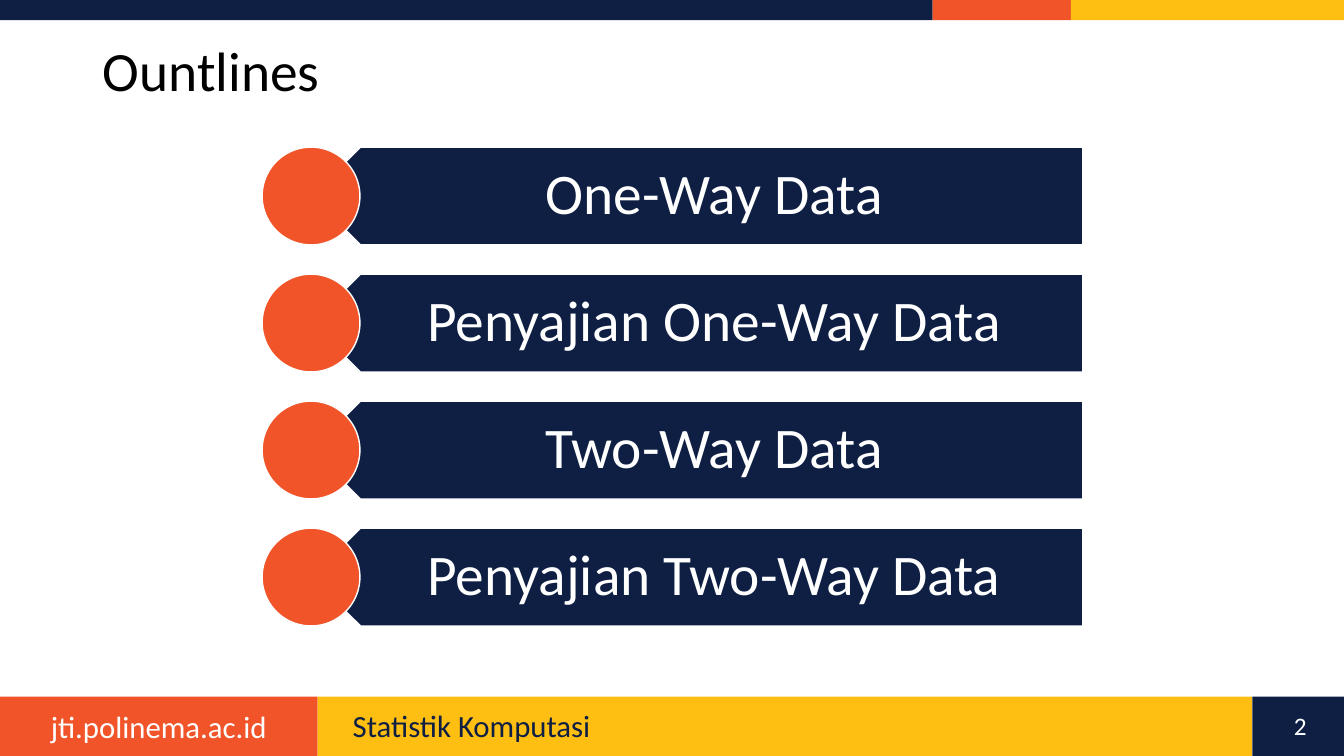
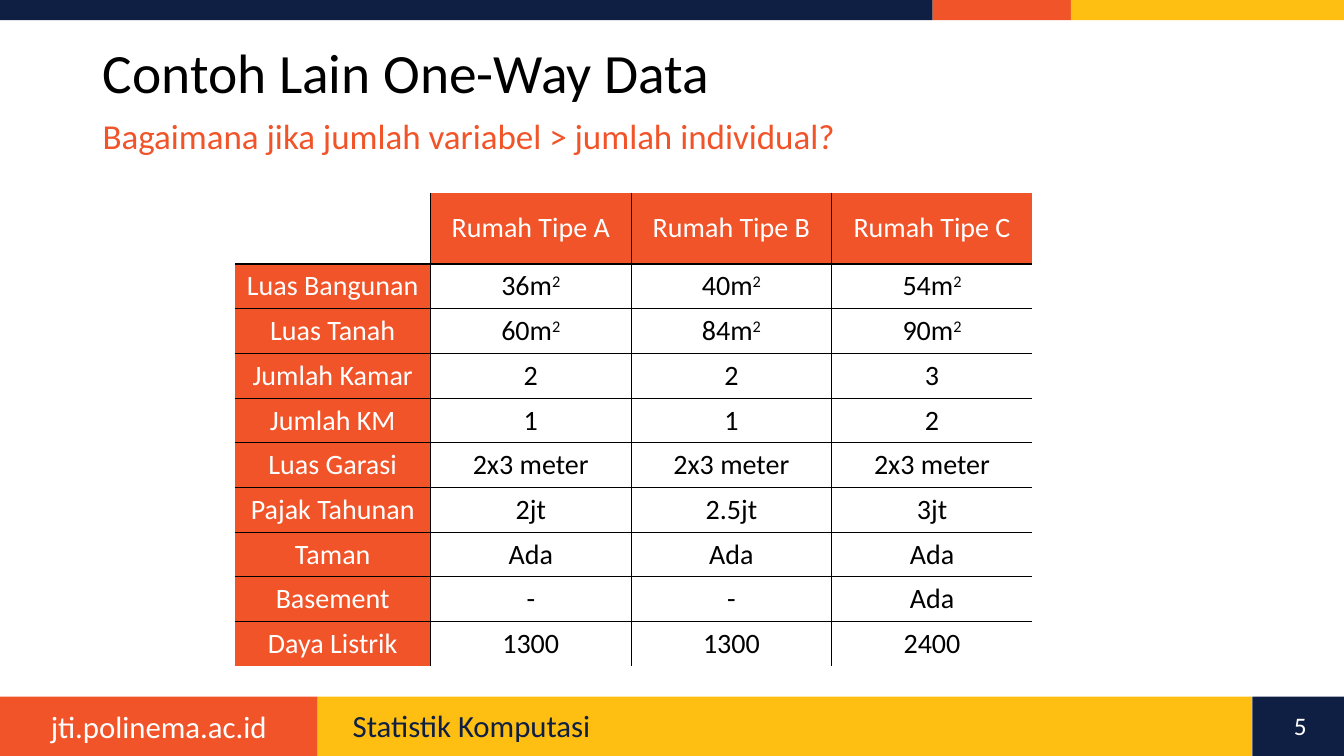
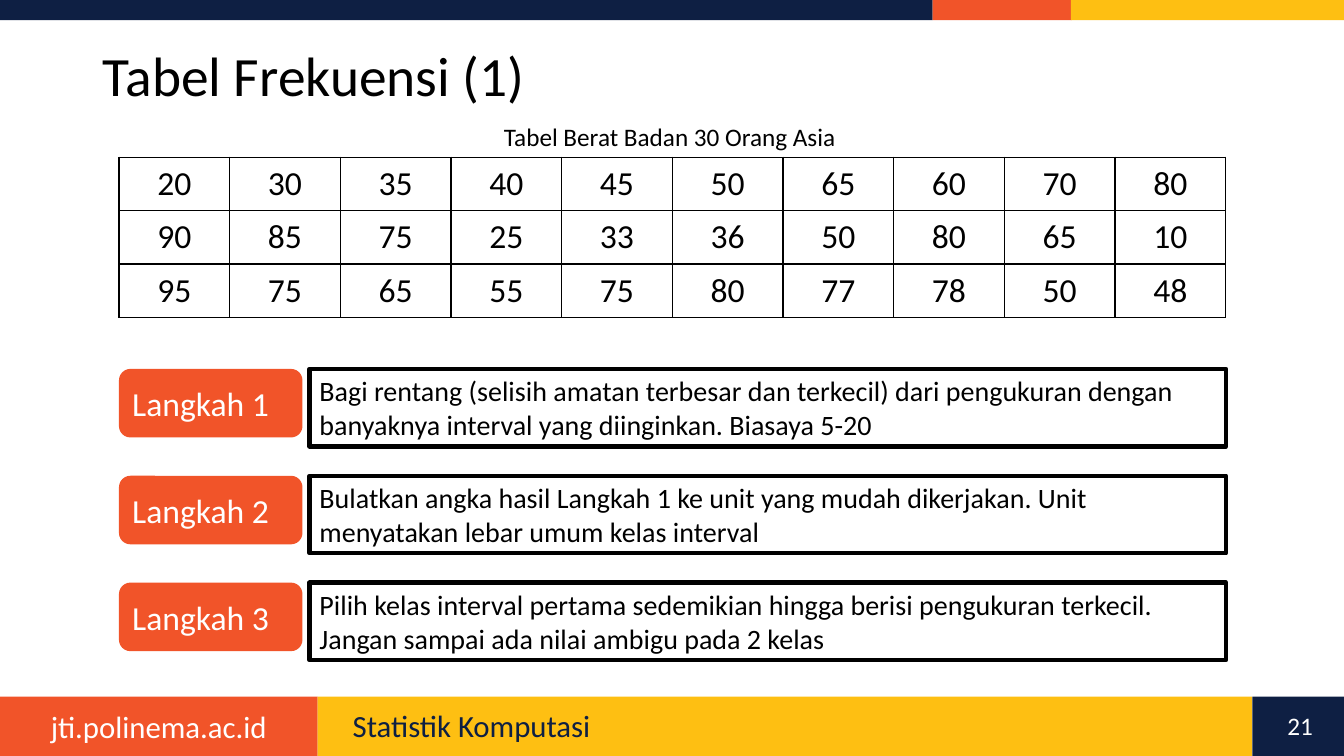
"""Build three slides of a statistics lecture with shared bands, titles and tables."""
import dataclasses

import pptx
import pptx.dml.color
import pptx.enum.shapes
import pptx.enum.text
import pptx.oxml
import pptx.oxml.ns
import pptx.util

Inches = pptx.util.Inches
Pt = pptx.util.Pt
Shape = pptx.enum.shapes.MSO_SHAPE
Align = pptx.enum.text.PP_ALIGN
Anchor = pptx.enum.text.MSO_ANCHOR
AutoSize = pptx.enum.text.MSO_AUTO_SIZE
qn = pptx.oxml.ns.qn


@dataclasses.dataclass(frozen=True)
class Theme:
    navy: str = "0E1F43"
    orange: str = "F15429"
    yellow: str = "FEBF12"
    white: str = "FFFFFF"
    black: str = "000000"
    font: str = "Calibri"
    title: float = 39.6
    outline: float = 41
    subtitle: float = 25
    label: float = 24
    footer: float = 22
    body: float = 20
    small: float = 18


class Lecture:
    def __init__(self, theme):
        self.theme = theme
        self.deck = pptx.Presentation()
        self.deck.slide_width = Inches(13.33)
        self.deck.slide_height = Inches(7.5)
        self.page = None

    def start_page(self, title, number, title_height):
        theme = self.theme
        self.page = self.deck.slides.add_slide(self.deck.slide_layouts[5])
        bands = (
            (0, 0, 9.25, 0.2, theme.navy),
            (9.25, 0, 1.38, 0.2, theme.orange),
            (10.62, 0, 2.71, 0.2, theme.yellow),
            (0, 6.91, 3.15, 0.59, theme.orange),
            (3.15, 6.91, 9.27, 0.59, theme.yellow),
            (12.42, 6.91, 0.91, 0.59, theme.navy),
        )
        for *place, color in bands:
            self.shape(Shape.RECTANGLE, place, fill=color)
        self.text("jti.polinema.ac.id", (0, 6.97, 3.15, 0.47), theme.footer,
                  theme.white, alignment=Align.CENTER)
        self.text("Statistik Komputasi", (3.4, 7, 8.74, 0.4), theme.footer,
                  theme.navy, line_spacing=0.9)
        self.text(str(number), (12.59, 7, 0.61, 0.4), theme.small,
                  theme.white, alignment=Align.CENTER)
        box = self.page.shapes.title
        places = zip(("left", "top", "width", "height"), (0.92, 0.4, 10.24, title_height))
        for name, value in places:
            setattr(box, name, Inches(value))
        self.frame(box.text_frame, vertical_anchor=Anchor.MIDDLE)
        self.fill_text(box.text_frame, title, theme.title, theme.black, line_spacing=0.9)

    def frame(self, frame, **formats):
        for name, value in {"auto_size": AutoSize.NONE, "word_wrap": True, **formats}.items():
            setattr(frame, name, value)

    def fill_text(self, frame, words, size, color, **formats):
        para = frame.paragraphs[0]
        for name, value in {"alignment": Align.LEFT, **formats}.items():
            setattr(para, name, value)
        for position, piece in enumerate(words.split("^")):
            span = para.add_run()
            span.text = piece
            for name, value in {"size": Pt(size), "name": self.theme.font}.items():
                setattr(span.font, name, value)
            span.font.color.rgb = pptx.dml.color.RGBColor.from_string(color)
            if position:
                span.font._element.set("baseline", "30000")

    def text(self, words, place, size, color, frame=None, **formats):
        box = self.page.shapes.add_textbox(*map(Inches, place))
        self.frame(box.text_frame, **(frame or {}))
        self.fill_text(box.text_frame, words, size, color, **formats)

    def shape(self, kind, place, fill=None, line=None, weight=1, rotation=0):
        shape = self.page.shapes.add_shape(kind, *map(Inches, place))
        shape.shadow.inherit = False
        shape.rotation = rotation
        for paint, color in ((shape.fill, fill), (shape.line.fill, line)):
            self.paint(paint, color)
        if line:
            shape.line.width = Pt(weight)
        return shape

    def paint(self, fill, color):
        if color:
            fill.solid()
            fill.fore_color.rgb = pptx.dml.color.RGBColor.from_string(color)
        else:
            fill.background()

    def outline_row(self, words, top):
        theme = self.theme
        size = 0.97
        self.shape(Shape.PENTAGON, (3.09, top, 7.65, size), theme.navy, theme.white,
                   rotation=180)
        insets = {"margin_left": Inches(0.43), "margin_right": Inches(0.32),
                  "margin_top": Inches(0.17), "margin_bottom": Inches(0.17),
                  "vertical_anchor": Anchor.MIDDLE}
        self.text(words, (3.33, top, 7.4, size), theme.outline, theme.white, insets,
                  alignment=Align.CENTER, line_spacing=0.9)
        self.shape(Shape.OVAL, (2.6, top, size, size), theme.orange, theme.white)

    def step(self, label, words, top):
        theme = self.theme
        badge = self.shape(Shape.ROUNDED_RECTANGLE, (1.18, top, 1.82, 0.68), theme.orange)
        self.frame(badge.text_frame, vertical_anchor=Anchor.MIDDLE)
        self.fill_text(badge.text_frame, label, theme.label, theme.white)
        panel = self.shape(Shape.RECTANGLE, (3.07, top, 9.09, 0.77),
                           line=theme.black, weight=3)
        self.frame(panel.text_frame, vertical_anchor=Anchor.TOP)
        self.fill_text(panel.text_frame, words, theme.body, theme.black)

    def border(self, cell, sides):
        for side in sides:
            line = pptx.oxml.parse_xml(
                f'<a:ln{side} xmlns:a="http://schemas.openxmlformats.org/drawingml/2006/main"'
                f' w="12700"><a:solidFill><a:srgbClr val="{self.theme.black}"/>'
                f'</a:solidFill></a:ln{side}>')
            cell._tc.get_or_add_tcPr().append(line)

    def table(self, rows, place, size, headed=False, first_row=None, first_column=None):
        theme = self.theme
        width, height = place[2:]
        row_count, column_count = len(rows), len(rows[0])
        grid = self.page.shapes.add_table(row_count, column_count, *map(Inches, place)).table
        grid.first_row = grid.horz_banding = False
        style = grid._tbl.tblPr.find(qn("a:tableStyleId"))
        style.text = "{2D5ABB26-0587-4C30-8999-92F81FD0307C}"
        if first_row:
            for index, row in enumerate(grid.rows):
                rest = (height - first_row) / (row_count - 1)
                row.height = Inches(rest if index else first_row)
        if first_column:
            for index, column in enumerate(grid.columns):
                rest = (width - first_column) / (column_count - 1)
                column.width = Inches(rest if index else first_column)
        for y, row in enumerate(rows):
            for x, words in enumerate(row):
                cell = grid.cell(y, x)
                inner = {"L": x > 0, "R": x < column_count - 1,
                         "T": y > 0, "B": y < row_count - 1}
                self.border(cell, [side for side, shown in inner.items()
                                   if shown or not headed])
                header = headed and bool(words) and (x == 0 or y == 0)
                self.paint(cell.fill, theme.orange if header else None)
                cell.vertical_anchor = Anchor.MIDDLE
                if words:
                    self.fill_text(cell.text_frame, words, size,
                                   theme.white if header else theme.black,
                                   alignment=Align.CENTER)


def main():
    theme = Theme()
    lecture = Lecture(theme)
    grow = {"auto_size": AutoSize.SHAPE_TO_FIT_TEXT, "word_wrap": False}

    lecture.start_page("Ountlines", 2, 0.66)
    topics = ("One-Way Data", "Penyajian One-Way Data",
              "Two-Way Data", "Penyajian Two-Way Data")
    for index, topic in enumerate(topics):
        lecture.outline_row(topic, 1.46 + 1.26 * index)

    lecture.start_page("Contoh Lain One-Way Data", 5, 0.69)
    lecture.text("Bagaimana jika jumlah variabel > jumlah individual?",
                 (0.92, 1.09, 7.55, 0.52), theme.subtitle, theme.orange, grow)
    houses = (
        ("", "Rumah Tipe A", "Rumah Tipe B", "Rumah Tipe C"),
        ("Luas Bangunan", "36m^2", "40m^2", "54m^2"),
        ("Luas Tanah", "60m^2", "84m^2", "90m^2"),
        ("Jumlah Kamar", "2", "2", "3"),
        ("Jumlah KM", "1", "1", "2"),
        ("Luas Garasi", "2x3 meter", "2x3 meter", "2x3 meter"),
        ("Pajak Tahunan", "2jt", "2.5jt", "3jt"),
        ("Taman", "Ada", "Ada", "Ada"),
        ("Basement", "-", "-", "Ada"),
        ("Daya Listrik", "1300", "1300", "2400"),
    )
    lecture.table(houses, (2.33, 1.91, 7.91, 4.7), theme.body, headed=True,
                  first_row=0.71, first_column=1.94)

    lecture.start_page("Tabel Frekuensi (1)", 21, 0.75)
    weights = (
        "20 30 35 40 45 50 65 60 70 80",
        "90 85 75 25 33 36 50 80 65 10",
        "95 75 65 55 75 80 77 78 50 48",
    )
    lecture.table([row.split() for row in weights], (1.18, 1.56, 10.98, 1.59), theme.label)
    lecture.text("Tabel Berat Badan 30 Orang Asia", (4.9, 1.15, 3.53, 0.4),
                 theme.small, theme.black, grow)
    steps = (
        "Bagi rentang (selisih amatan terbesar dan terkecil) dari pengukuran dengan "
        "banyaknya interval yang diinginkan. Biasaya 5-20",
        "Bulatkan angka hasil Langkah 1 ke unit yang mudah dikerjakan. Unit "
        "menyatakan lebar umum kelas interval",
        "Pilih kelas interval pertama sedemikian hingga berisi pengukuran terkecil. "
        "Jangan sampai ada nilai ambigu pada 2 kelas",
    )
    for index, words in enumerate(steps):
        lecture.step(f"Langkah {index + 1}", words, 3.66 + 1.06 * index)

    lecture.deck.save("out.pptx")


if __name__ == "__main__":
    main()
